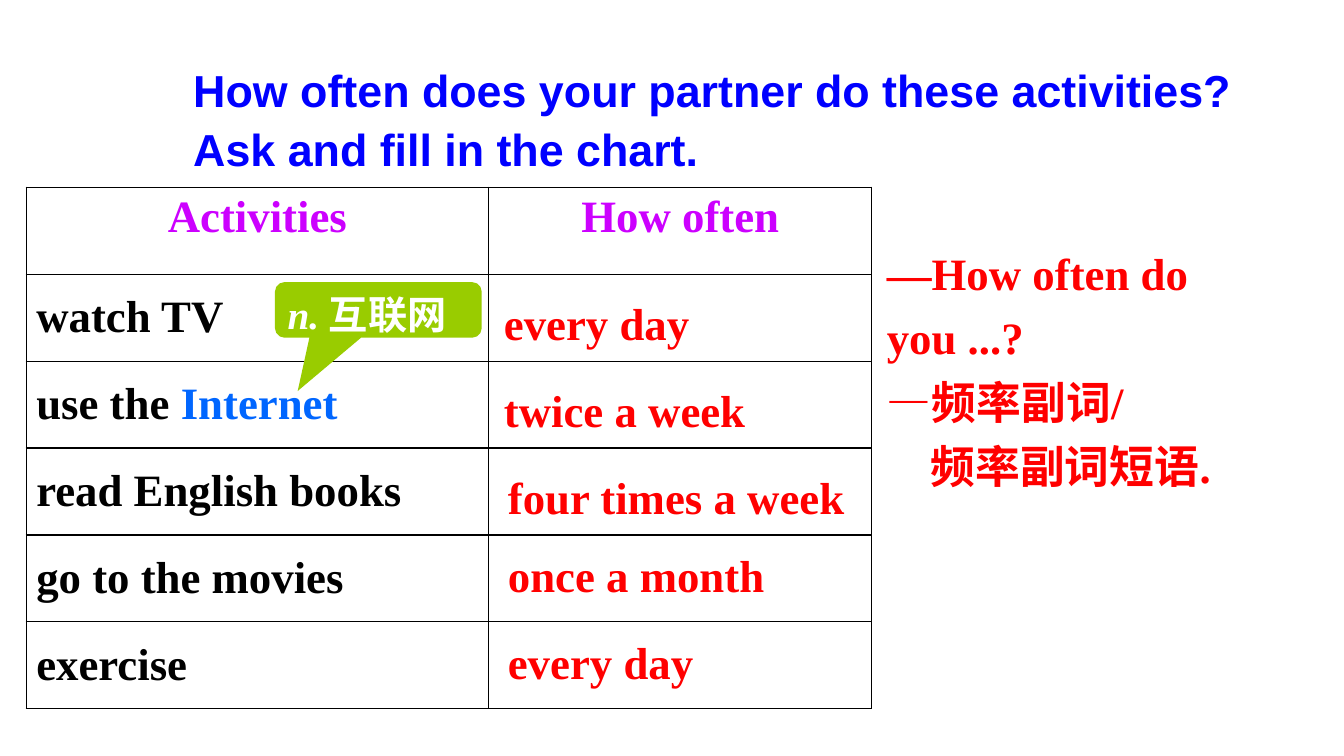
import pptx
import pptx.util
import pptx.dml.color
import pptx.enum.shapes
import pptx.enum.text
import pptx.oxml
import pptx.oxml.ns

Cm = pptx.util.Cm
Pt = pptx.util.Pt
RGBColor = pptx.dml.color.RGBColor
Align = pptx.enum.text.PP_ALIGN
Anchor = pptx.enum.text.MSO_ANCHOR
Fit = pptx.enum.text.MSO_AUTO_SIZE

BLUE = RGBColor(0x00, 0x00, 0xFF)
SKY = RGBColor(0x00, 0x66, 0xFF)
PINK = RGBColor(0xCC, 0x00, 0xFF)
RED = RGBColor(0xFF, 0x00, 0x00)
GREEN = RGBColor(0x99, 0xCC, 0x00)
BLACK = RGBColor(0x00, 0x00, 0x00)
WHITE = RGBColor(0xFF, 0xFF, 0xFF)

HEADS = ["Activities", "How often"]
COLS = [11.66, 9.65]
PITCH = 2.19
ROWS = [
    ([("watch TV", BLACK)], "every day", 0.13, 0.41),
    ([("use the ", BLACK), ("Internet", SKY)], "twice a week", 0.13, 0.41),
    ([("read English books", BLACK)], "four times a week", 0.23, 0.41),
    ([("go to the movies", BLACK)], "once a month", 0.23, 0.2),
    ([("exercise", BLACK)], "every day", 0.23, 0.2),
]


def write(para, text, color=RED, size=32, face="Times New Roman", slant=False):
    run = para.add_run()
    run.text = text
    font = run.font
    font.name = face
    font.size = Pt(size)
    font.bold = True
    font.italic = slant
    font.color.rgb = color


def add_box(slide, left, top, width, height, fit=Fit.SHAPE_TO_FIT_TEXT):
    box = slide.shapes.add_textbox(Cm(left), Cm(top), Cm(width), Cm(height))
    frame = box.text_frame
    frame.word_wrap = True
    frame.auto_size = fit
    return frame


def add_title(slide, left, top, width, height):
    para = add_box(slide, left, top, width, height).paragraphs[0]
    para.line_spacing = 1.1
    write(para, "How often does your partner do these activities? "
          "Ask and fill in the chart.", color=BLUE, face="Arial")


def frame_cell(cell):
    props = cell._tc.get_or_add_tcPr()
    for side in ("lnL", "lnR", "lnT", "lnB"):
        props.append(pptx.oxml.parse_xml(
            f'<a:{side} {pptx.oxml.ns.nsdecls("a")} w="12700"><a:solidFill>'
            f'<a:srgbClr val="{BLACK}"/></a:solidFill></a:{side}>'))
    cell.fill.solid()
    cell.fill.fore_color.rgb = WHITE


def add_chart(slide, left, top):
    count = len(ROWS) + 1
    table = slide.shapes.add_table(
        count, len(COLS), Cm(left), Cm(top), Cm(sum(COLS)), Cm(PITCH * count)).table
    table.first_row = False
    table.horz_banding = False
    for col, width in zip(table.columns, COLS):
        col.width = Cm(width)
    for row in table.rows:
        row.height = Cm(PITCH)
        for cell in row.cells:
            frame_cell(cell)
    for index, head in enumerate(HEADS):
        para = table.cell(0, index).text_frame.paragraphs[0]
        para.alignment = Align.CENTER
        write(para, head, color=PINK)
    for index, (parts, reply, right, down) in enumerate(ROWS, 1):
        cell = table.cell(index, 0)
        cell.vertical_anchor = Anchor.MIDDLE
        for text, color in parts:
            write(cell.text_frame.paragraphs[0], text, color=color)
        frame = add_box(slide, left + COLS[0] + right,
                        top + PITCH * index + down, 9.2, 1.6)
        write(frame.paragraphs[0], reply)


def add_gloss(slide, left, top, width, height):
    shape = slide.shapes.add_shape(
        pptx.enum.shapes.MSO_SHAPE.ROUNDED_RECTANGULAR_CALLOUT,
        Cm(left), Cm(top), Cm(width), Cm(height))
    for index, value in enumerate((-0.39, 1.46, 0.17)):
        shape.adjustments[index] = value
    shape.shadow.inherit = False
    shape.fill.solid()
    shape.fill.fore_color.rgb = GREEN
    shape.line.fill.background()
    frame = shape.text_frame
    frame.vertical_anchor = Anchor.TOP
    para = frame.paragraphs[0]
    para.alignment = Align.LEFT
    write(para, "n. ", color=WHITE, size=28, slant=True)
    write(para, "互联网", color=WHITE, size=28)


def add_model(slide, left, top, width, height):
    frame = add_box(slide, left, top, width, height, fit=Fit.NONE)
    frame.vertical_anchor = Anchor.MIDDLE
    lines = [("—How often do you ...?", 0), ("—频率副词/", 0), ("频率副词短语.", 1.1)]
    for index, (text, indent) in enumerate(lines):
        para = frame.add_paragraph() if index else frame.paragraphs[0]
        para.line_spacing = 1.2
        if indent:
            para._p.get_or_add_pPr().set("marL", str(Cm(indent)))
        write(para, text)


def main():
    deck = pptx.Presentation()
    deck.slide_width = Cm(33.87)
    deck.slide_height = Cm(19.05)
    slide = deck.slides.add_slide(deck.slide_layouts[6])
    add_title(slide, 4.62, 1.32, 27.4, 3.25)
    add_chart(slide, 0.66, 4.72)
    add_gloss(slide, 6.93, 7.11, 5.21, 1.4)
    add_model(slide, 22.1, 5.33, 11.46, 7.67)
    deck.save("out.pptx")


if __name__ == "__main__":
    main()
